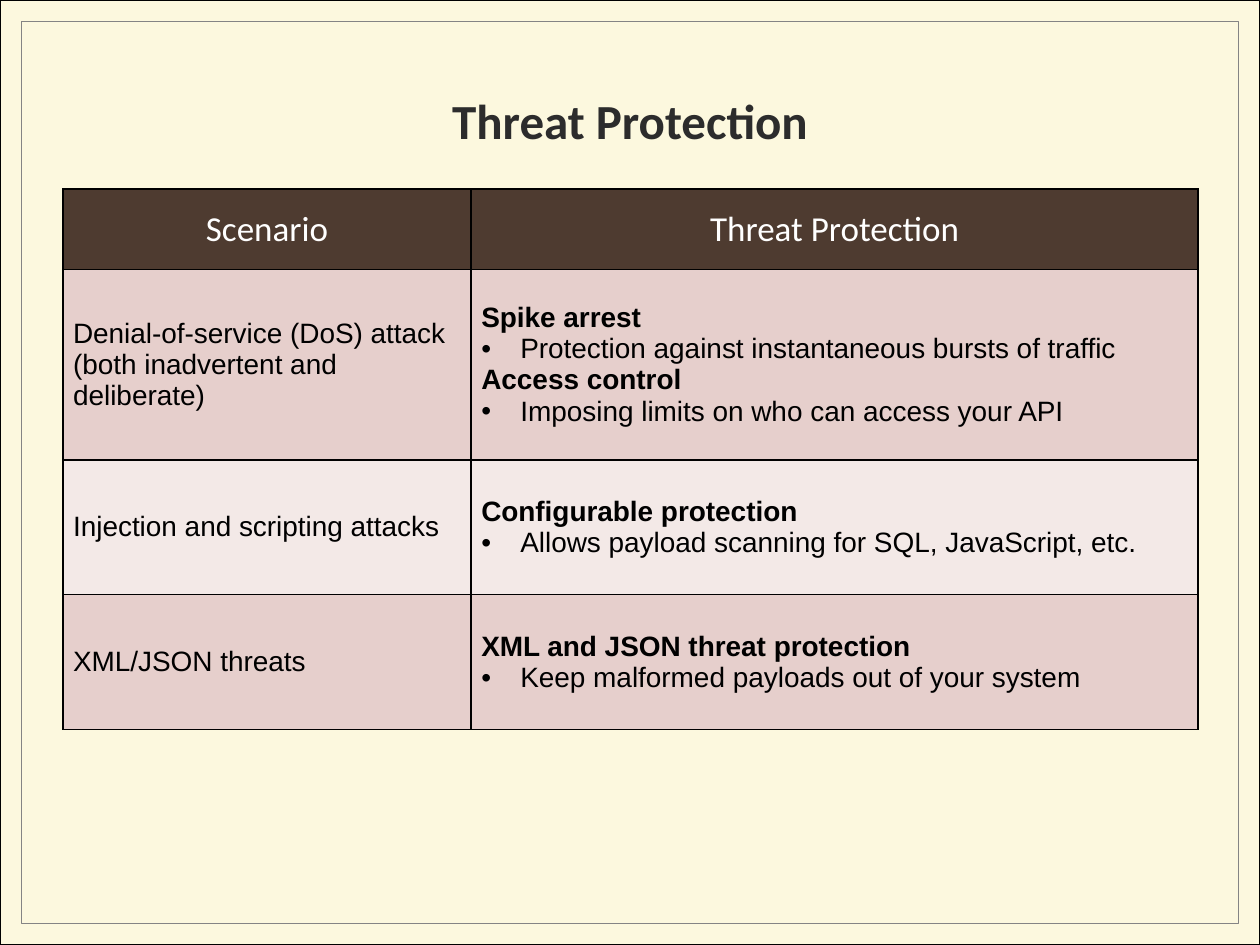
"""Build the Threat Protection slide with its table of scenarios."""
from lxml.etree import SubElement
from pptx import Presentation
from pptx.dml.color import RGBColor
from pptx.enum.shapes import MSO_SHAPE
from pptx.enum.text import MSO_ANCHOR, PP_ALIGN
from pptx.oxml.ns import qn
from pptx.util import Inches, Pt

CREAM = RGBColor(0xFC, 0xF8, 0xDE)
GREY = RGBColor(0x84, 0x84, 0x84)
CHARCOAL = RGBColor(0x2C, 0x2C, 0x2C)
BROWN = RGBColor(0x4E, 0x3B, 0x30)
ROSE = RGBColor(0xE6, 0xCF, 0xCC)
PALE_ROSE = RGBColor(0xF3, 0xE9, 0xE7)
WHITE = RGBColor(0xFF, 0xFF, 0xFF)
BLACK = RGBColor(0, 0, 0)

COLUMN_WIDTHS = [3.24, 5.77]
ROW_HEIGHTS = [0.64, 1.51, 1.07, 1.07]
ROW_FILLS = [BROWN, ROSE, PALE_ROSE, ROSE]
BULLET = "• "
ROWS = [
    [["Scenario"], ["Threat Protection"]],
    [
        ["Denial-of-service (DoS) attack", "(both inadvertent and deliberate)"],
        [
            "Spike arrest",
            "• Protection against instantaneous bursts of traffic",
            "Access control",
            "• Imposing limits on who can access your API",
        ],
    ],
    [
        ["Injection and scripting attacks"],
        ["Configurable protection", "• Allows payload scanning for SQL, JavaScript, etc."],
    ],
    [
        ["XML/JSON threats"],
        ["XML and JSON threat protection", "• Keep malformed payloads out of your system"],
    ],
]


def format_text(para, font_name, size, color, bold=False):
    for span in para.runs:
        span.font.name = font_name
        span.font.size = Pt(size)
        span.font.color.rgb = color
        span.font.bold = bold


def add_borders(cell):
    properties = cell._tc.get_or_add_tcPr()
    for side in ("a:lnL", "a:lnR", "a:lnT", "a:lnB"):
        line = SubElement(properties, qn(side), w=str(Pt(1)))
        fill = SubElement(line, qn("a:solidFill"))
        SubElement(fill, qn("a:srgbClr"), val=str(BLACK))


deck = Presentation()
deck.slide_width = Inches(10)
deck.slide_height = Inches(7.5)
page = deck.slides.add_slide(deck.slide_layouts[6])

for margin, fill_color, line_color, line_width in [(0, CREAM, BLACK, 0.75), (0.17, None, GREY, 0.5)]:
    frame = page.shapes.add_shape(
        MSO_SHAPE.RECTANGLE, Inches(margin), Inches(margin),
        Inches(10 - 2 * margin), Inches(7.5 - 2 * margin),
    )
    frame.shadow.inherit = False
    if fill_color is None:
        frame.fill.background()
    else:
        frame.fill.solid()
        frame.fill.fore_color.rgb = fill_color
    frame.line.color.rgb = line_color
    frame.line.width = Pt(line_width)

title = page.shapes.add_textbox(Inches(0.5), Inches(0.33), Inches(9), Inches(1.25))
title.text_frame.word_wrap = True
title.text_frame.vertical_anchor = MSO_ANCHOR.MIDDLE
title.text_frame.text = "Threat Protection"
heading = title.text_frame.paragraphs[0]
heading.alignment = PP_ALIGN.CENTER
format_text(heading, "Calibri", 28, CHARCOAL, True)

table = page.shapes.add_table(
    len(ROWS), len(COLUMN_WIDTHS), Inches(0.5), Inches(1.5),
    Inches(sum(COLUMN_WIDTHS)), Inches(sum(ROW_HEIGHTS)),
).table
for column, width in zip(table.columns, COLUMN_WIDTHS):
    column.width = Inches(width)

for row_index, (row, height, fill_color) in enumerate(zip(ROWS, ROW_HEIGHTS, ROW_FILLS)):
    table.rows[row_index].height = Inches(height)
    for column_index, lines in enumerate(row):
        cell = table.cell(row_index, column_index)
        add_borders(cell)
        cell.fill.solid()
        cell.fill.fore_color.rgb = fill_color
        cell.vertical_anchor = MSO_ANCHOR.MIDDLE
        cell.margin_left = cell.margin_right = Inches(0.08)
        cell.margin_top = cell.margin_bottom = Inches(0.05)
        cell.text_frame.text = "\n".join(line.removeprefix(BULLET) for line in lines)
        for para, line in zip(cell.text_frame.paragraphs, lines):
            if row_index == 0:
                para.alignment = PP_ALIGN.CENTER
                format_text(para, "Calibri", 20, WHITE)
                continue
            bulleted = line.startswith(BULLET)
            format_text(para, "Arial", 16, BLACK, column_index == 1 and not bulleted)
            if bulleted:
                properties = para._p.get_or_add_pPr()
                properties.set("marL", str(Inches(0.31)))
                properties.set("indent", str(-Inches(0.31)))
                SubElement(properties, qn("a:buFont"), typeface="Arial")
                SubElement(properties, qn("a:buChar"), char=BULLET.strip())

deck.save("out.pptx")
